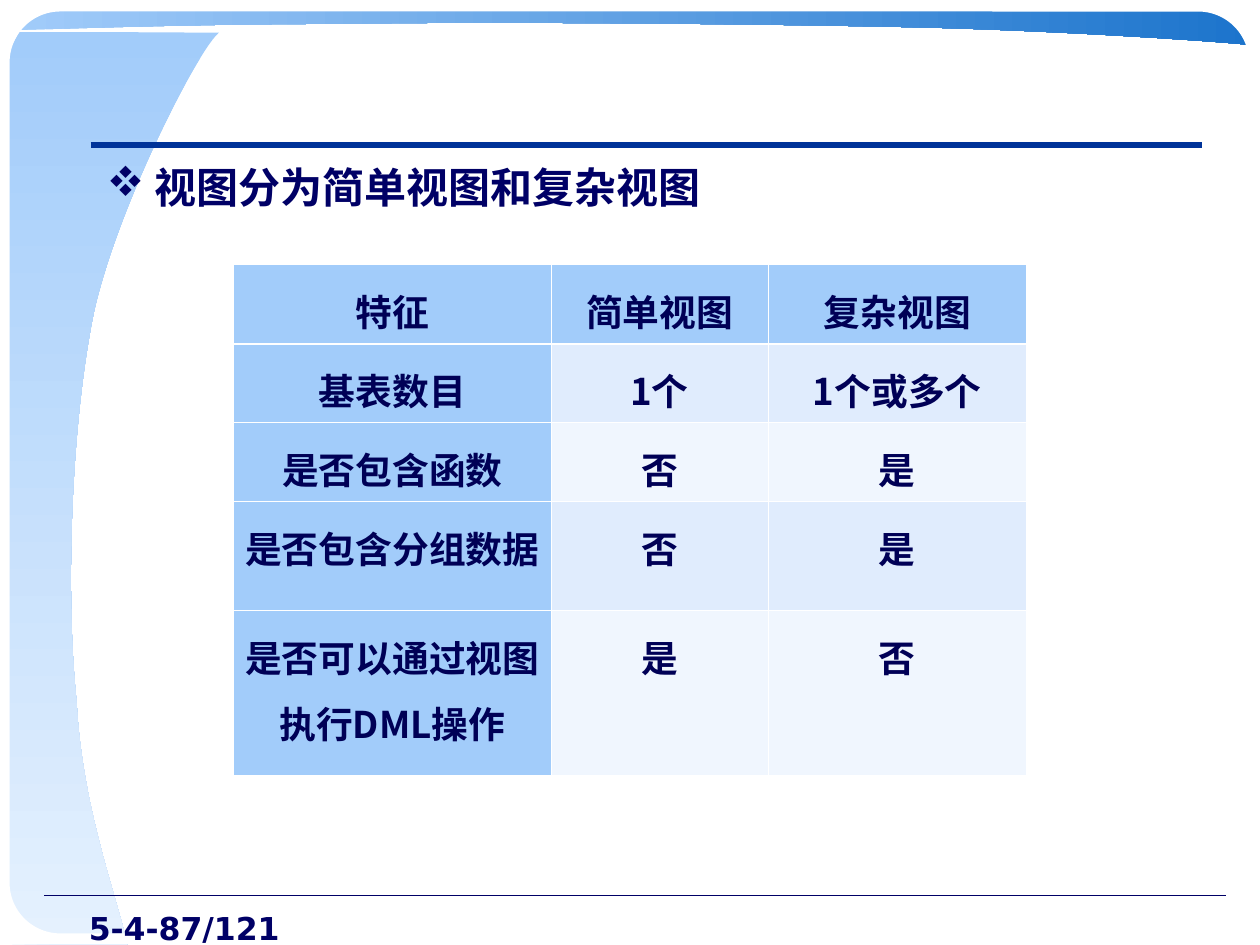
"""Build the slide comparing simple and complex database views."""
from lxml.etree import SubElement
from pptx import Presentation
from pptx.dml.color import RGBColor
from pptx.enum.shapes import MSO_CONNECTOR, MSO_SHAPE
from pptx.enum.text import PP_ALIGN
from pptx.oxml.ns import qn
from pptx.util import Pt

COLORS = {
    "white": "FFFFFF", "navy": "000066", "table_text": "000056", "rule": "003399",
    "sky": "A2CCFA", "pale": "E5F1FE", "deep": "1C74CC",
    "band_dark": "E0ECFD", "band_light": "F0F6FE",
}
CHINESE_FONT = "Noto Sans CJK SC"


def add_outline(shapes, steps, fill_colors, angle=0):
    """Draw a closed outline from line ends (x, y) and curves (x1, y1, x2, y2, x, y)."""
    points = [(Pt(step[i]), Pt(step[i + 1])) for step in steps for i in range(0, len(step), 2)]
    builder = shapes.build_freeform(*points[0])
    builder.add_line_segments(points[1:], close=True)
    shape = builder.convert_to_shape()
    segments = iter(list(shape._element.iter(qn("a:lnTo"))))
    for step in steps[1:]:
        segment = next(segments)
        if len(step) == 6:
            segment.addprevious(curve := segment.makeelement(qn("a:cubicBezTo")))
            for line in (segment, next(segments), next(segments)):
                curve.append(line[0])
                line.getparent().remove(line)
    shape.shadow.inherit = False
    shape.line.fill.background()
    if len(fill_colors) == 1:
        shape.fill.solid()
        shape.fill.fore_color.rgb = RGBColor.from_string(COLORS[fill_colors[0]])
    else:
        shape.fill.gradient()
        shape.fill.gradient_angle = angle
        for stop, color, position in zip(shape.fill.gradient_stops, fill_colors, (0, 1)):
            stop.color.rgb = RGBColor.from_string(COLORS[color])
            stop.position = position


def style_text(paragraph, size, color, font_name):
    """Set a bold font for Latin and East Asian text on one paragraph."""
    font = paragraph.font
    font.size, font.bold, font.name = Pt(size), True, font_name
    font.color.rgb = RGBColor.from_string(COLORS[color])
    defaults = paragraph._p.pPr.find(qn("a:defRPr"))
    SubElement(defaults, qn("a:ea"), typeface=font_name)


presentation = Presentation()
presentation.slide_width, presentation.slide_height = Pt(720), Pt(540)
slide = presentation.slides.add_slide(presentation.slide_layouts[6])
shapes = slide.shapes

left_panel = [
    (72.7, 540), (68.4, 517, 46.8, 462.2, 43.9, 401.8),
    (37.4, 341.3, 40.3, 242.6, 54, 177.1), (68.4, 114.5, 115.2, 25.2, 125.3, 18.7),
    (0.7, 18), (0, 540),
]
top_band = [
    (5, 17.3), (36.7, 16.6, 107.3, 13.7, 195.1, 13.7),
    (277.9, 12.2, 440.6, 13.7, 529.9, 15.8), (614.9, 18, 707, 24.5, 715.7, 25.9),
    (716.4, 5), (5, 5),
]
add_outline(shapes, left_panel, ("sky", "pale"), 270)
add_outline(shapes, top_band, ("sky", "deep"))

corners = [
    [(34.6, 539.3), (13.7, 529.2), (3.6, 518.4), (0, 502.6), (0, 540)],
    [(0, 39.6), (2.9, 35.3, 9.4, 18.7, 15.1, 12.2), (20.2, 5.8, 36, 2.9, 34.6, 0), (0, 0.7)],
    [(719.3, 504), (710.6, 522), (699.1, 533.5), (688.3, 540), (720, 539.3)],
    [(684.7, 0.7), (688.3, 2.2, 699.8, 1.4, 709.9, 12.2),
     (719.3, 23, 718.2, 43.2, 719.3, 41), (719.3, 0.7)],
]
frame = shapes.add_shape(MSO_SHAPE.ROUNDED_RECTANGLE, Pt(2.5), Pt(3.6), Pt(714.2), Pt(532.8))
frame.adjustments[0] = 0.06
frame.shadow.inherit = False
frame.fill.background()
frame.line.color.rgb = RGBColor.from_string(COLORS["white"])
frame.line.width = Pt(6)
for corner in corners:
    add_outline(shapes, corner, ("white",))

for left, right, y, color, width in [
    (25.2, 700.6, 511.9, "navy", 0.75),
    (51.8, 686.9, 82.8, "rule", 3),
]:
    rule = shapes.add_connector(MSO_CONNECTOR.STRAIGHT, Pt(left), Pt(y), Pt(right), Pt(y))
    rule.line.color.rgb = RGBColor.from_string(COLORS[color])
    rule.line.width = Pt(width)
    SubElement(rule._element.spPr, qn("a:effectLst"))

page_box = shapes.add_textbox(Pt(0), Pt(515.8), Pt(167), Pt(24.5))
page_box.text_frame.word_wrap = True
paragraph = page_box.text_frame.paragraphs[0]
paragraph.text = "5-4-87/121"
paragraph.alignment = PP_ALIGN.RIGHT
style_text(paragraph, 18, "navy", "DejaVu Sans")

body_box = shapes.add_textbox(Pt(54), Pt(88.6), Pt(630.7), Pt(419.8))
body_box.text_frame.word_wrap = True
paragraph = body_box.text_frame.paragraphs[0]
paragraph.text = "视图分为简单视图和复杂视图"
properties = paragraph._p.get_or_add_pPr()
properties.set("marL", str(Pt(27)))
properties.set("indent", str(Pt(-27)))
bullet_color = SubElement(properties, qn("a:buClr"))
SubElement(bullet_color, qn("a:srgbClr"), val=COLORS["navy"])
SubElement(properties, qn("a:buFont"), typeface="Wingdings", charset="2")
SubElement(properties, qn("a:buChar"), char="v")
style_text(paragraph, 24, "navy", CHINESE_FONT)

rows = [
    ("特征", "简单视图", "复杂视图"),
    ("基表数目", "1个", "1个或多个"),
    ("是否包含函数", "否", "是"),
    ("是否包含分组数据", "否", "是"),
    ("是否可以通过视图执行DML操作", "是", "否"),
]
column_widths = [181.5, 124, 147.8]
row_heights = [45.2, 45.2, 45.2, 62, 94.3]
table = shapes.add_table(
    len(rows), len(column_widths), Pt(133.4), Pt(151.2),
    Pt(sum(column_widths)), Pt(sum(row_heights))).table
table.first_row = table.horz_banding = False
for column, width in zip(table.columns, column_widths):
    column.width = Pt(width)
for row_index, (row, height) in enumerate(zip(rows, row_heights)):
    table.rows[row_index].height = Pt(height)
    for column_index, text in enumerate(row):
        cell = table.cell(row_index, column_index)
        cell.margin_left = cell.margin_right = Pt(5)
        cell.margin_top = cell.margin_bottom = Pt(3.6)
        paragraph = cell.text_frame.paragraphs[0]
        paragraph.text = text
        paragraph.alignment = PP_ALIGN.CENTER
        paragraph.line_spacing = 1.25
        style_text(paragraph, 21, "table_text", CHINESE_FONT)
        thick_side = {0: "lnB", 1: "lnT"}.get(row_index)
        for side in ("lnL", "lnR", "lnT", "lnB"):
            width = Pt(1.47 if side == thick_side else 0.45)
            border = SubElement(cell._tc.get_or_add_tcPr(), qn(f"a:{side}"), w=str(width))
            border_fill = SubElement(border, qn("a:solidFill"))
            SubElement(border_fill, qn("a:srgbClr"), val=COLORS["white"])
        if row_index == 0 or column_index == 0:
            fill_color = "sky"
        else:
            fill_color = "band_dark" if row_index % 2 else "band_light"
        cell.fill.solid()
        cell.fill.fore_color.rgb = RGBColor.from_string(COLORS[fill_color])

presentation.save("out.pptx")
